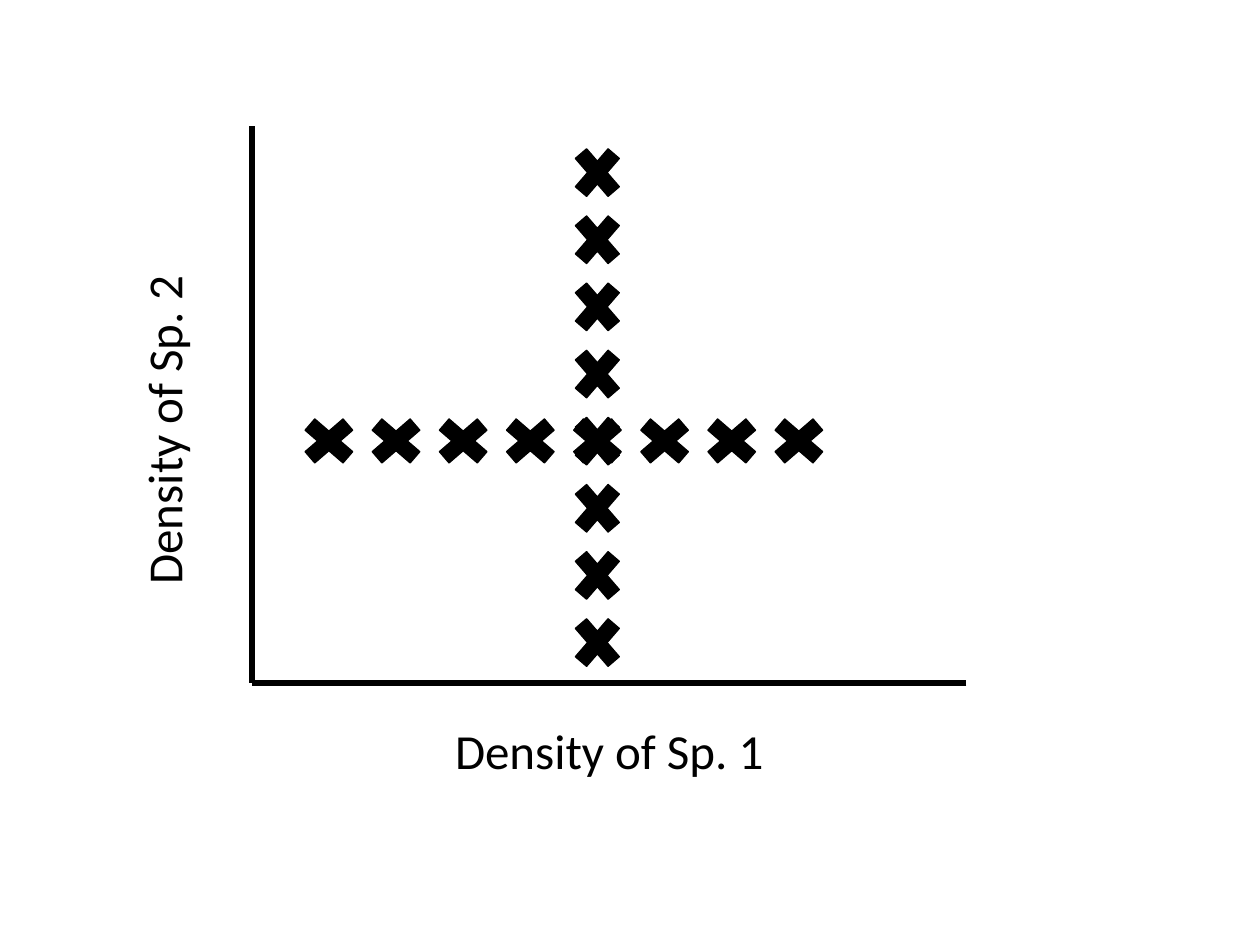
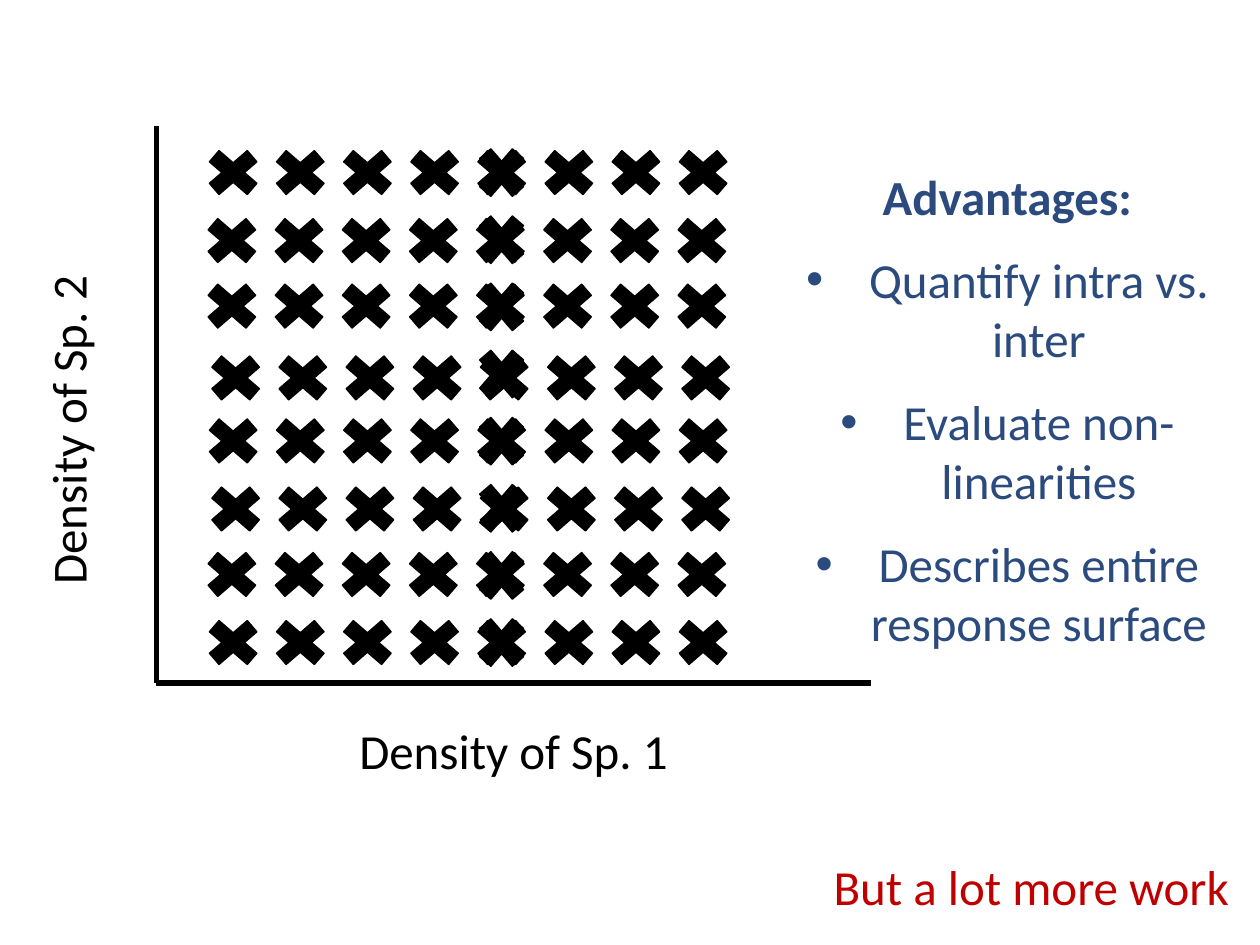
from lxml import etree
from pptx import Presentation
from pptx.dml.color import RGBColor
from pptx.enum import shapes, text
from pptx.oxml import ns
from pptx.util import Inches, Pt

FONT = "Calibri"
COLORS = {"ink": "000000", "blue": "2B4B7F", "red": "C00000"}
LABELS = ("Density of Sp. 1", "Density of Sp. 2")
HEAD = "Advantages:"
POINTS = [
    "Quantify intra vs. inter",
    "Evaluate non-linearities",
    "Describes entire response surface",
]
CAVEAT = "But a lot more work"

COUNT = 8
STEP = 3.73 / (COUNT - 1)
TOP, INSET, MID = 1.08, 0.36, 4
CROSS = [(0, 3.21)]
FULL = [(0, 1.08), (-0.01, 1.62), (-0.01, 2.14), (0.02, 2.71),
        (0, 3.21), (0.02, 3.75), (-0.01, 4.27), (0, 4.81)]
PLOTS = [(2, CROSS), (1.24, FULL)]


def color(name):
    return RGBColor.from_string(COLORS[name])


def add_text(slide, box, lines, hue, align, turn=0):
    shape = slide.shapes.add_textbox(*map(Inches, box))
    shape.rotation = turn
    frame = shape.text_frame
    frame.word_wrap = True
    for i, line in enumerate(lines):
        para = frame.add_paragraph() if i else frame.paragraphs[0]
        para.text = line
        para.alignment = align
        if i:
            para.space_before = Pt(14)
            add_bullet(para)
        para.font.name = FONT
        para.font.size = Pt(28)
        para.font.bold = line == HEAD
        para.font.color.rgb = color(hue)


def add_bullet(para):
    props = para._p.get_or_add_pPr()
    props.set("marL", str(Inches(0.5)))
    props.set("indent", str(Inches(-0.5)))
    etree.SubElement(props, ns.qn("a:buFont")).set("typeface", "Arial")
    etree.SubElement(props, ns.qn("a:buChar")).set("char", "•")


def add_axis(slide, *ends):
    line = slide.shapes.add_connector(
        shapes.MSO_CONNECTOR.STRAIGHT, *map(Inches, ends))
    line.line.color.rgb = color("ink")
    line.line.width = Pt(3)
    etree.SubElement(line._element.spPr, ns.qn("a:effectLst"))


def add_mark(slide, left, top, turn=0):
    mark = slide.shapes.add_shape(
        shapes.MSO_SHAPE.MATH_MULTIPLY,
        *map(Inches, (left, top, 0.5, 0.58)))
    mark.rotation = turn
    mark.shadow.inherit = False
    mark.fill.solid()
    mark.fill.fore_color.rgb = color("ink")
    mark.line.color.rgb = color("ink")
    mark.line.width = Pt(0.75)


def add_plot(slide, left, rows):
    add_axis(slide, left, 1, left, 5.42)
    add_axis(slide, left + 5.67, 5.42, left, 5.42)
    start = left + INSET
    for i in range(COUNT):
        add_mark(slide, start + MID * STEP, TOP + i * STEP)
    center = text.PP_ALIGN.CENTER
    add_text(slide, (left + 0.5, 5.67, 4.67, 0.57), LABELS[:1], "ink", center)
    add_text(slide, (left - 3.04, 3.13, 4.67, 0.57), LABELS[1:], "ink", center, 270)
    for shift, top in rows:
        for i in range(COUNT):
            add_mark(slide, start + shift + i * STEP, top, 90)


def main():
    deck = Presentation()
    deck.slide_width, deck.slide_height = Inches(10), Inches(7.5)
    for left, rows in PLOTS:
        slide = deck.slides.add_slide(deck.slide_layouts[6])
        add_plot(slide, left, rows)
    add_text(slide, (6.2, 1.27, 3.59, 4.58), [HEAD, *POINTS], "blue",
             text.PP_ALIGN.CENTER)
    add_text(slide, (5, 6.75, 4.85, 0.58), [CAVEAT], "red", text.PP_ALIGN.RIGHT)
    deck.save("out.pptx")


if __name__ == "__main__":
    main()
